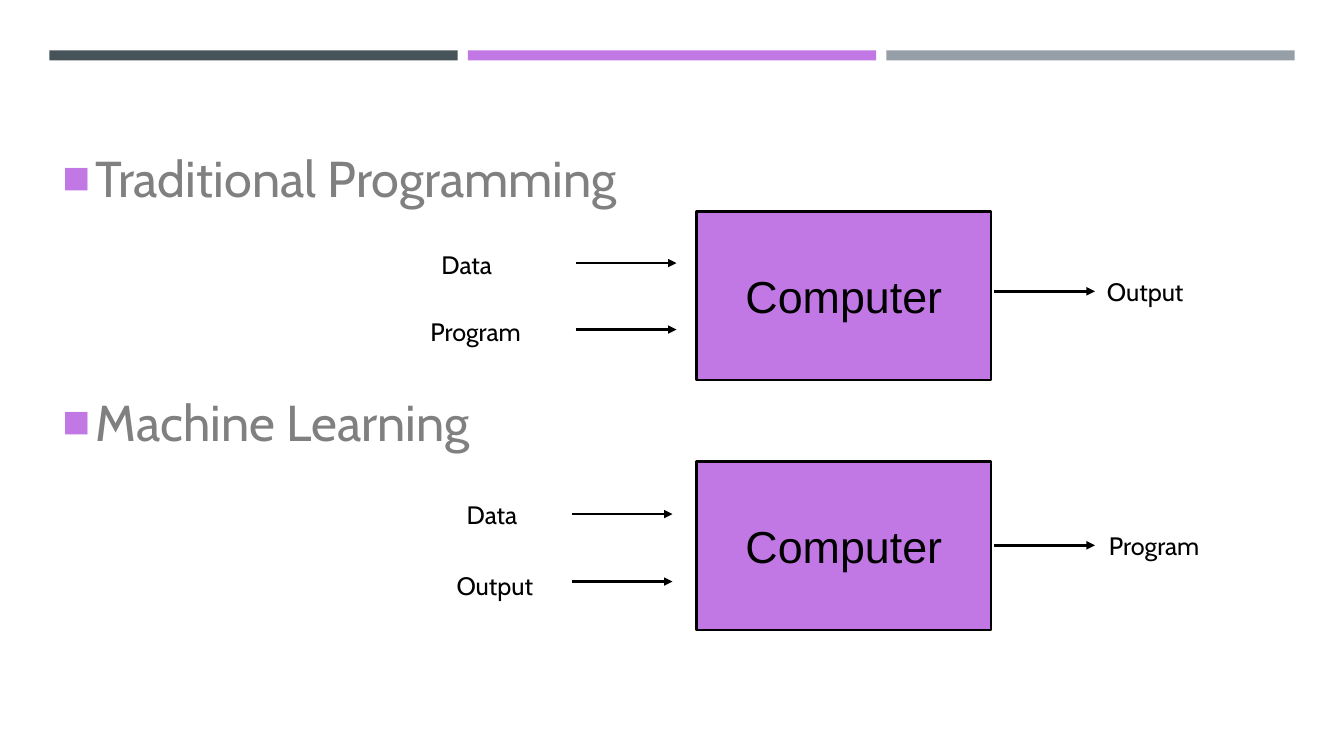
from lxml import etree
from pptx import Presentation
from pptx import util as u
from pptx.dml.color import RGBColor
from pptx.enum import shapes, text
from pptx.oxml.ns import qn

HUES = {"slate": "465359", "violet": "C278E4", "steel": "969FA7",
        "gray": "808080", "black": "000000"}


class Deck:
    """Holds the style and the current slide."""

    def __init__(self):
        self.show = Presentation()
        self.show.slide_width = u.Inches(13.33)
        self.show.slide_height = u.Inches(7.5)
        self.slide = self.show.slides.add_slide(self.show.slide_layouts[6])

    def hue(self, name):
        return RGBColor.from_string(HUES[name])

    def say(self, para, words, size, face="Cabin", hue="black"):
        run = para.add_run()
        run.text = words
        form = {"size": u.Pt(size), "name": face}
        for key, val in form.items():
            setattr(run.font, key, val)
        run.font.color.rgb = self.hue(hue)

    def rect(self, x, y, w, h, hue):
        box = self.slide.shapes.add_shape(
            shapes.MSO_SHAPE.RECTANGLE, *map(u.Inches, (x, y, w, h)))
        box.shadow.inherit = False
        box.fill.solid()
        box.fill.fore_color.rgb = self.hue(hue)
        box.line.fill.background()
        return box

    def block(self, x, y, words):
        box = self.rect(x, y, 2.92, 1.67, "violet")
        box.line.color.rgb = self.hue("black")
        box.line.width = u.Pt(2)
        frame = box.text_frame
        form = {"word_wrap": False, "vertical_anchor": text.MSO_ANCHOR.MIDDLE}
        for key, val in form.items():
            setattr(frame, key, val)
        para = frame.paragraphs[0]
        para.alignment = text.PP_ALIGN.CENTER
        self.say(para, words, 32, "Arial")

    def frame(self, x, y, w, h):
        box = self.slide.shapes.add_textbox(*map(u.Inches, (x, y, w, h)))
        box.text_frame.word_wrap = True
        return box.text_frame

    def label(self, x, y, w, words):
        self.say(self.frame(x, y, w, 0.4).paragraphs[0], words, 18)

    def arrow(self, x, y):
        line = self.slide.shapes.add_connector(
            shapes.MSO_CONNECTOR.STRAIGHT,
            *map(u.Inches, (x, y, x + 1, y)))
        line.line.color.rgb = self.hue("black")
        line.line.width = u.Pt(2)
        props = line.element.spPr
        etree.SubElement(props.find(qn("a:ln")), qn("a:tailEnd"),
                         type="triangle")
        etree.SubElement(props, qn("a:effectLst"))

    def bullet(self, para, words):
        self.say(para, words, 36, hue="gray")
        props = para._p.get_or_add_pPr()
        props.set("marL", str(u.Inches(0.33)))
        props.set("indent", str(-u.Inches(0.33)))
        color = etree.SubElement(props, qn("a:buClr"))
        etree.SubElement(color, qn("a:srgbClr"), val=HUES["violet"])
        etree.SubElement(props, qn("a:buSzPct"), val="92000")
        etree.SubElement(props, qn("a:buFont"), typeface="Arial")
        etree.SubElement(props, qn("a:buChar"), char="■")


def main():
    deck = Deck()

    # Top bars
    for i, hue in enumerate(("slate", "violet", "steel")):
        deck.rect(0.49 + 4.15 * i, 0.5, 4.05, 0.1, hue)

    # Headings, spaced to leave room for the first diagram
    body = deck.frame(0.52, 1.41, 12.06, 5.94)
    deck.bullet(body.paragraphs[0], "Traditional Programming")
    para = body.add_paragraph()
    para.space_before = u.Pt(131)
    deck.bullet(para, "Machine Learning")

    # Diagrams: block top, arrow starts, labels
    flows = [
        (2.1, [(5.71, 2.61), (5.71, 3.27), (9.86, 2.89)],
         [(4.28, 2.42, "Data"), (4.17, 3.09, "Program"),
          (10.88, 2.69, "Output")]),
        (4.58, [(5.67, 5.1), (5.67, 5.77), (9.86, 5.41)],
         [(4.53, 4.9, "Data"), (4.43, 5.61, "Output"),
          (10.9, 5.21, "Program")]),
    ]
    wide = {"Data": 0.88, "Output": 1, "Program": 1.34}
    for top, arrows, labels in flows:
        deck.block(6.91, top, "Computer")
        for x, y in arrows:
            deck.arrow(x, y)
        for x, y, words in labels:
            deck.label(x, y, wide[words], words)

    deck.show.save("out.pptx")


if __name__ == "__main__":
    main()
